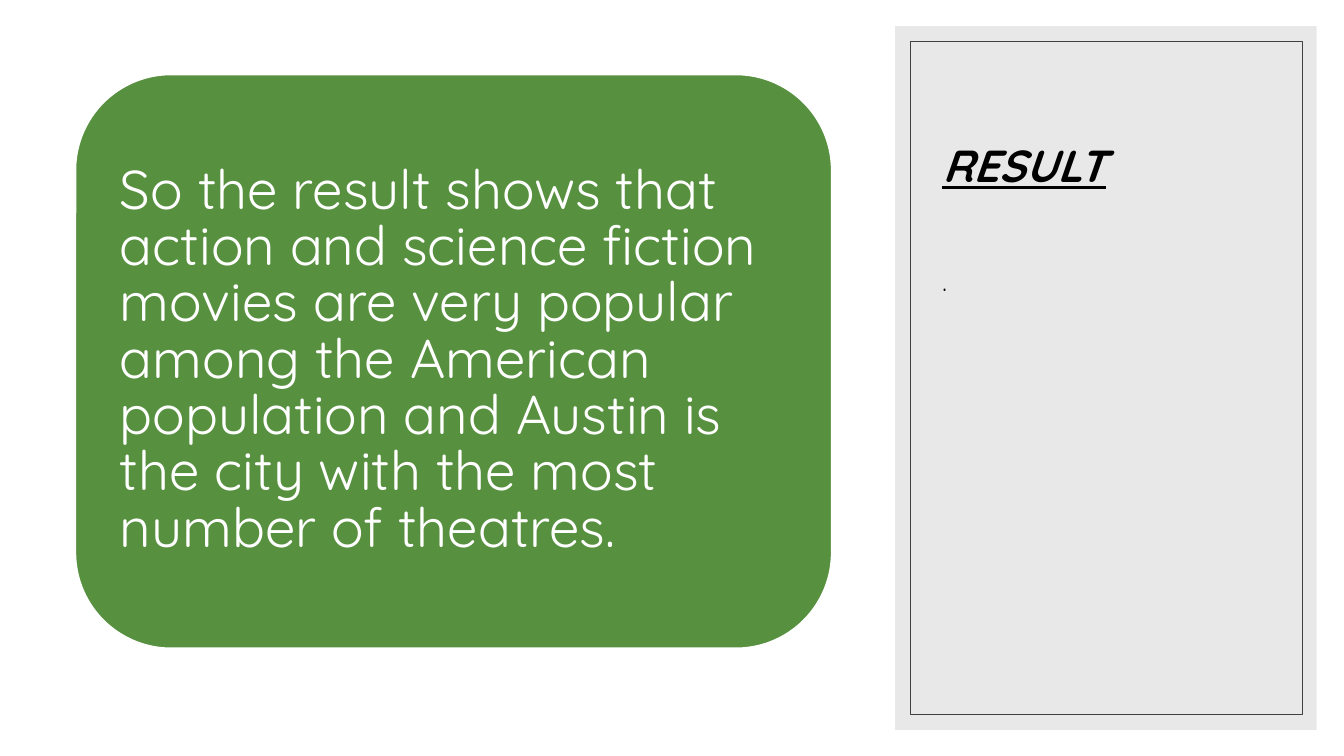
from dataclasses import dataclass

import lxml.etree
import pptx
import pptx.dml.color
import pptx.enum.shapes
import pptx.enum.text
import pptx.oxml.ns
import pptx.util

Pt = pptx.util.Pt
ShapeType = pptx.enum.shapes.MSO_SHAPE
Anchor = pptx.enum.text.MSO_ANCHOR


@dataclass(frozen=True)
class Box:
    left: float
    top: float
    width: float
    height: float

    def lengths(self) -> tuple:
        return Pt(self.left), Pt(self.top), Pt(self.width), Pt(self.height)


@dataclass(frozen=True)
class Panel:
    box: Box
    kind: ShapeType = ShapeType.RECTANGLE
    fill: str = ""
    opacity: int = 100
    line: str = ""
    line_width: float = 0


@dataclass(frozen=True)
class Label:
    box: Box
    text: str
    size: float
    color: str
    anchor: Anchor = Anchor.TOP
    side_inset: float = 7.2
    top_inset: float = 3.6
    bottom_inset: float = 3.6
    line_spacing: float = 1.0
    heading: bool = False


PANELS = [
    Panel(Box(639.4, 18.7, 301, 502.6), fill="D9D9D9", opacity=60),
    Panel(Box(650.2, 29.5, 280.1, 481), line="404040", line_width=0.5),
    Panel(Box(54, 53.3, 540, 409.7), ShapeType.ROUNDED_RECTANGLE,
          fill="57903F", line="FFFFFF", line_width=1),
]

LABELS = [
    Label(Box(666, 47.5, 249.1, 129.6), "RESULT", 32, "000000",
          anchor=Anchor.BOTTOM, bottom_inset=40, heading=True),
    Label(Box(666, 184.3, 249.1, 283.7), ".", 18, "000000", line_spacing=1.1),
    Label(Box(74.2, 73.4, 499.7, 369.4),
          "So the result shows that action and science fiction movies are very "
          "popular among the American population and Austin is the city with "
          "the most number of theatres.",
          39, "FFFFFF", anchor=Anchor.MIDDLE, side_inset=11.5,
          top_inset=11.5, bottom_inset=11.5, line_spacing=0.86),
]


def rgb(color: str) -> pptx.dml.color.RGBColor:
    return pptx.dml.color.RGBColor.from_string(color)


def draw_panel(slide: pptx.slide.Slide, panel: Panel) -> None:
    shape = slide.shapes.add_shape(panel.kind, *panel.box.lengths())
    shape.shadow.inherit = False
    if panel.fill:
        shape.fill.solid()
        shape.fill.fore_color.rgb = rgb(panel.fill)
    else:
        shape.fill.background()
    if panel.opacity < 100:
        qualified = pptx.oxml.ns.qn
        color_element = shape.fill._xPr.find(
            f"{qualified('a:solidFill')}/{qualified('a:srgbClr')}")
        lxml.etree.SubElement(color_element, qualified("a:alpha"),
                              val=str(panel.opacity * 1000))
    if panel.line:
        shape.line.color.rgb = rgb(panel.line)
        shape.line.width = Pt(panel.line_width)
    else:
        shape.line.fill.background()


def draw_label(slide: pptx.slide.Slide, label: Label) -> None:
    frame = slide.shapes.add_textbox(*label.box.lengths()).text_frame
    frame.word_wrap = True
    frame.vertical_anchor = label.anchor
    frame.margin_left = frame.margin_right = Pt(label.side_inset)
    frame.margin_top = Pt(label.top_inset)
    frame.margin_bottom = Pt(label.bottom_inset)
    paragraph = frame.paragraphs[0]
    paragraph.text = label.text
    paragraph.line_spacing = label.line_spacing
    font = paragraph.font
    font.name = "Quicksand"
    font.size = Pt(label.size)
    font.color.rgb = rgb(label.color)
    font.bold = font.italic = font.underline = label.heading


def main() -> None:
    presentation = pptx.Presentation()
    presentation.slide_width = Pt(960)
    presentation.slide_height = Pt(540)
    slide = presentation.slides.add_slide(presentation.slide_layouts[6])
    for panel in PANELS:
        draw_panel(slide, panel)
    for label in LABELS:
        draw_label(slide, label)
    presentation.save("out.pptx")


if __name__ == "__main__":
    main()
